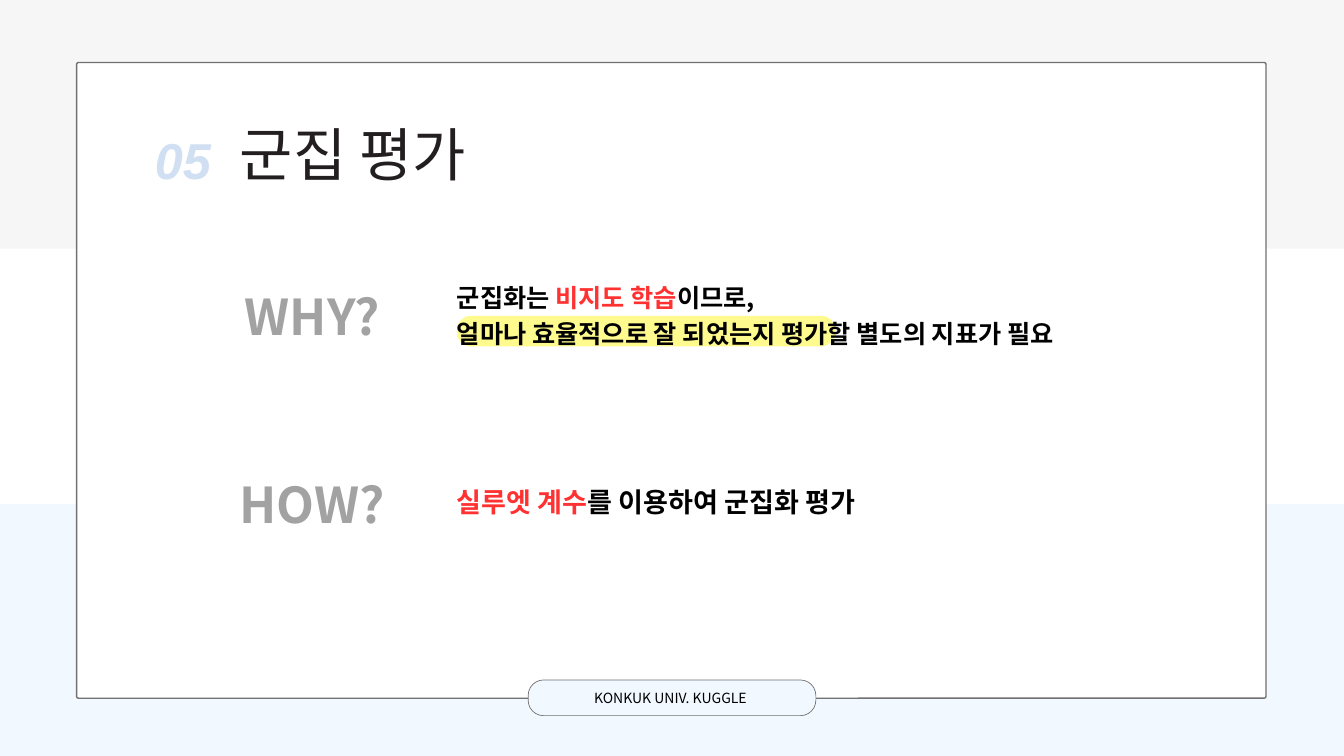
import lxml.etree
import pptx
import pptx.util
import pptx.dml.color
import pptx.enum.shapes
import pptx.enum.text
import pptx.oxml.ns

Pt = pptx.util.Pt
Kind = pptx.enum.shapes.MSO_SHAPE
Align = pptx.enum.text.PP_ALIGN
Anchor = pptx.enum.text.MSO_ANCHOR
Fit = pptx.enum.text.MSO_AUTO_SIZE

THEME = {
    "font": "Noto Sans CJK KR", "digit": "Liberation Sans",
    "gray": "F4F4F4", "blue": "F2F8FF", "white": "FFFFFF", "edge": "727070",
    "mark": "FFFA8E", "ink": "231F20", "black": "000000", "red": "FF3131",
    "label": "A2A2A2", "number": "D0DFF1",
    "title": 62, "index": 54, "head": 52.8, "how": 29, "why": 27, "foot": 15,
}
WIDE, HIGH = 1440, 810

TITLE = [[("군집 평가", "ink")]]
INDEX = [[("05", "number")]]
FOOT = [[("KONKUK UNIV. KUGGLE ", "black")]]
WHY = [
    [("군집화는 ", "black"), ("비지도 학습", "red"), ("이므로,", "black")],
    [("얼마나 효율적으로 잘 되었는지 평가할 별도의 지표가 필요", "black")],
]
HOW = [[("실루엣 계수", "red"), ("를 이용하여 군집화 평가", "black")]]
ROWS = [
    ("WHY?", 296.6, WHY, "why", 297.4, 73.4),
    ("HOW?", 497.5, HOW, "how", 514.1, 39.6),
]


def tint(name):
    return pptx.dml.color.RGBColor.from_string(THEME[name])


def add(node, tag, key, value):
    child = lxml.etree.SubElement(node, pptx.oxml.ns.qn(tag))
    child.set(key, value)


def block(kind, box, fill, line=None, width=0, curve=None, alpha=None):
    shape = page.shapes.add_shape(kind, *map(Pt, box))
    shape.shadow.inherit = False
    shape.fill.solid()
    shape.fill.fore_color.rgb = tint(fill)
    if curve is not None:
        shape.adjustments[0] = curve
    if line:
        shape.line.color.rgb = tint(line)
        shape.line.width = Pt(width)
    else:
        shape.line.fill.background()
    if alpha:
        color = shape.element.spPr.find(".//" + pptx.oxml.ns.qn("a:srgbClr"))
        add(color, "a:alpha", "val", str(alpha * 1000))


def write(text, box, size, shape=None, font="font", bold=False, italic=False,
          align=Align.LEFT, anchor=Anchor.TOP, inset=0, lead=1.4):
    shape = shape or page.shapes.add_textbox(*map(Pt, box))
    shape.left, shape.top, shape.width, shape.height = map(Pt, box)
    frame = shape.text_frame
    frame.word_wrap = True
    frame.auto_size = Fit.NONE
    frame.vertical_anchor = anchor
    frame.margin_left = frame.margin_right = Pt(inset)
    frame.margin_top = frame.margin_bottom = Pt(inset)
    for i, parts in enumerate(text):
        para = frame.add_paragraph() if i else frame.paragraphs[0]
        para.alignment = align
        para.line_spacing = Pt(round(THEME[size] * lead, 1))
        for words, color in parts:
            run = para.add_run()
            run.text = words
            run.font.size = Pt(THEME[size])
            run.font.bold, run.font.italic = bold, italic
            run.font.color.rgb = tint(color)
            run.font.name = THEME[font]
            add(run.font._element, "a:ea", "typeface", THEME[font])


deck = pptx.Presentation()
deck.slide_width, deck.slide_height = Pt(WIDE), Pt(HIGH)
page = deck.slides.add_slide(deck.slide_layouts[5])

block(Kind.RECTANGLE, (0, 0, WIDE, 266.4), "gray", alpha=74)
block(Kind.RECTANGLE, (0, 540, WIDE, HIGH - 540), "blue")
block(Kind.ROUNDED_RECTANGLE, (82.1, 67, 1274.4, 681.1), "white",
      line="edge", width=1.5, curve=0.003)
block(Kind.ROUNDED_RECTANGLE, (565.9, 728.6, 308.2, 38.2), "blue",
      line="edge", width=0.75, curve=0.43)
write(FOOT, (565.9, 725, 308.2, 41.8), "foot", align=Align.CENTER,
      anchor=Anchor.MIDDLE, inset=4)

title = page.shapes.title
title.element.getparent().append(title.element)
write(TITLE, (257, 115.2, 852.5, 83.5), "title", shape=title)
write(INDEX, (166, 140.5, 76, 62), "index", font="digit", bold=True,
      italic=True, lead=1.15)

block(Kind.ROUNDED_RECTANGLE, (489.6, 338.4, 405.4, 32.8), "mark", curve=0.46)
for head, top, text, size, start, tall in ROWS:
    write([[(head, "label")]], (228.2, top, 213.1, 71.3), "head", bold=True,
          align=Align.CENTER)
    write(text, (489.6, start, 740, tall), size, bold=True,
          align=Align.JUSTIFY if len(text) > 1 else Align.LEFT)

deck.save("out.pptx")
